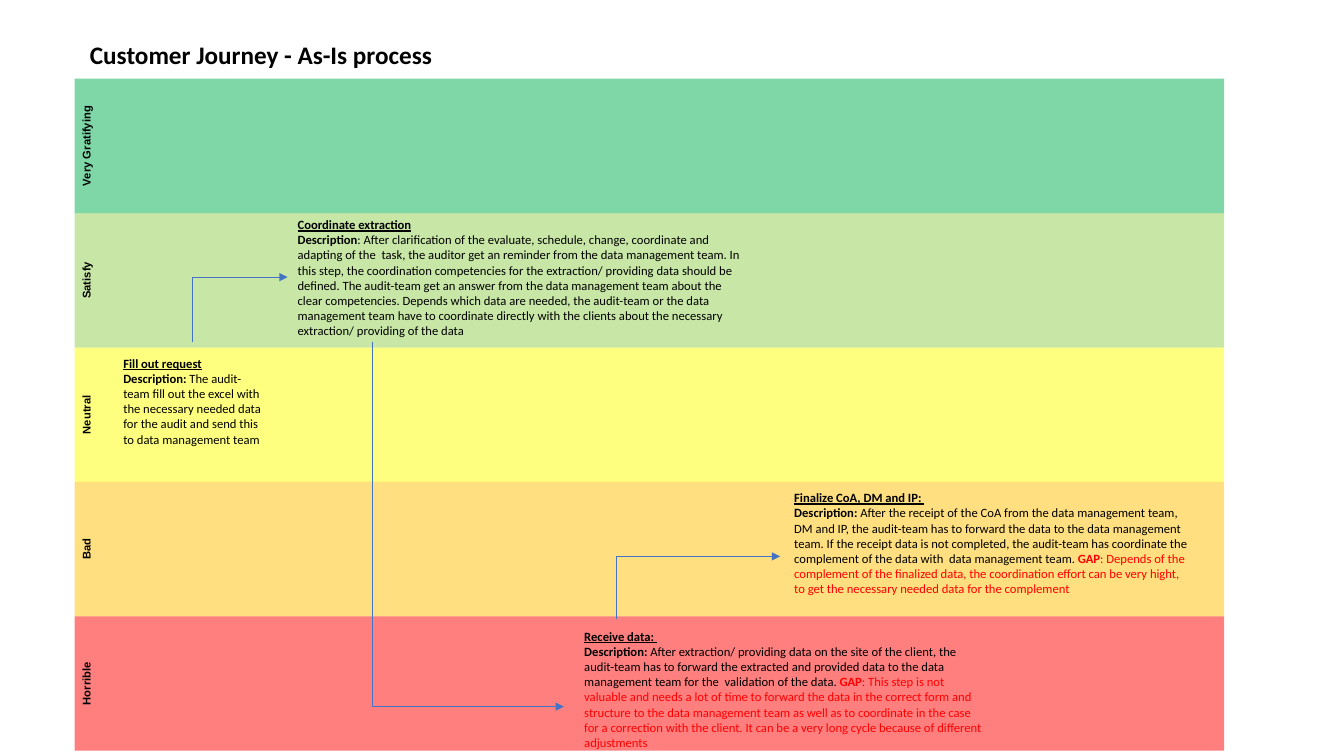
import dataclasses

import lxml.etree
import pptx
import pptx.dml.color
import pptx.enum.shapes
import pptx.enum.text
import pptx.oxml.ns
import pptx.util

PX = 9525


@dataclasses.dataclass(frozen=True)
class Theme:
    text: str = "000000"
    gap: str = "FF0000"
    arrow: str = "4472C4"
    body_font: str = "Calibri"
    label_font: str = "Arial"
    title_size: int = 18
    body_size: int = 9
    label_size: int = 8
    arrow_width: float = 0.5


THEME = Theme()

BAND_LEFT, BAND_TOP, BAND_WIDTH, BAND_HEIGHT = 71, 75, 1095, 128
LABEL_WIDTH = 33
MOODS = [
    ("Very Gratifying", "00B050"),
    ("Satisfy", "92D050"),
    ("Neutral", "FFFF00"),
    ("Bad", "FFC000"),
    ("Horrible", "FF0000"),
]

STEPS = [
    ((108, 334, 152, 126), "Fill out request", "Description: ",
     "The audit-team fill out the excel with the necessary needed data for the audit "
     "and send this to data management team", ""),
    ((274, 202, 442, 126), "Coordinate extraction", "Description",
     ": After clarification of the evaluate, schedule, change, coordinate and adapting of "
     "the  task, the auditor get an reminder from the data management team. In this step, "
     "the coordination competencies for the extraction/ providing data should be  defined. "
     "The audit-team get an answer from the data management team about the clear "
     "competencies. Depends which data are needed, the audit-team or the data management "
     "team have to coordinate directly with the clients about the necessary extraction/ "
     "providing of the data", ""),
    ((547, 594, 398, 125), "Receive data: ", "Description: ",
     "After extraction/ providing data on the site of the client, the audit-team has to "
     "forward the extracted and provided data to the data management team for the  "
     "validation of the data. ",
     ": This step is not valuable and needs a lot of time to forward the data in the "
     "correct form and structure to the data management team as well as to coordinate in "
     "the case for a correction with the client. It can be a very long cycle because of "
     "different adjustments"),
    ((747, 462, 398, 115), "Finalize CoA, DM and IP: ", "Description: ",
     "After the receipt of the CoA from the data management team, DM and IP, the "
     "audit-team has to forward the data to the data management team. If the receipt data "
     "is not completed, the audit-team has coordinate the complement of the data with  "
     "data management team. ",
     ": Depends of the complement of the finalized data, the coordination effort can be "
     "very hight, to get the necessary needed data for the complement"),
]

HANDOVERS = [
    (183, 326, 274, 264),
    (355, 326, 537, 673),
    (587, 590, 743, 530),
]


def px(*lengths):
    return [pptx.util.Emu(length * PX) for length in lengths]


def rgb(color):
    return pptx.dml.color.RGBColor.from_string(color)


def add_xml(properties, parent_tag, tag, **attributes):
    parent = next(properties.iter(pptx.oxml.ns.qn(parent_tag)))
    lxml.etree.SubElement(parent, pptx.oxml.ns.qn(tag), attributes)


def add_text(paragraph, text, size=THEME.body_size, font=THEME.body_font,
             color=THEME.text, bold=False, underline=False):
    run = paragraph.add_run()
    run.text = text
    run.font.size = pptx.util.Pt(size)
    run.font.name = font
    run.font.color.rgb = rgb(color)
    run.font.bold = bold
    run.font.underline = underline


def add_title(slide, text):
    title = slide.shapes.title
    title.left, title.top, title.width, title.height = px(76, 33, 348, 38)
    frame = title.text_frame
    frame.word_wrap = False
    frame.auto_size = pptx.enum.text.MSO_AUTO_SIZE.NONE
    frame.vertical_anchor = pptx.enum.text.MSO_ANCHOR.TOP
    heading = frame.paragraphs[0]
    heading.alignment = pptx.enum.text.PP_ALIGN.LEFT
    add_text(heading, text, size=THEME.title_size, bold=True)


def add_band(slide, top, color):
    band = slide.shapes.add_shape(
        pptx.enum.shapes.MSO_SHAPE.RECTANGLE,
        *px(BAND_LEFT, top, BAND_WIDTH, BAND_HEIGHT))
    band.shadow.inherit = False
    band.line.fill.background()
    band.fill.solid()
    band.fill.fore_color.rgb = rgb(color)
    add_xml(band._element.spPr, "a:srgbClr", "a:alpha", val="50000")


def add_band_label(slide, top, text):
    label = slide.shapes.add_textbox(*px(BAND_LEFT, top, LABEL_WIDTH, BAND_HEIGHT))
    frame = label.text_frame
    frame.word_wrap = True
    frame._txBody.bodyPr.set("vert", "vert270")
    mood = frame.paragraphs[0]
    mood.alignment = pptx.enum.text.PP_ALIGN.CENTER
    add_text(mood, text, size=THEME.label_size, font=THEME.label_font, bold=True)


def add_step(slide, box, heading, lead, description, gap):
    step = slide.shapes.add_textbox(*px(*box))
    frame = step.text_frame
    frame.word_wrap = True
    add_text(frame.paragraphs[0], heading, bold=True, underline=True)
    details = frame.add_paragraph()
    add_text(details, lead, bold=True)
    add_text(details, description)
    if gap:
        add_text(details, "GAP", color=THEME.gap, bold=True)
        add_text(details, gap, color=THEME.gap)


def add_handover(slide, ends):
    handover = slide.shapes.add_connector(
        pptx.enum.shapes.MSO_CONNECTOR.ELBOW, *px(*ends))
    handover.line.color.rgb = rgb(THEME.arrow)
    handover.line.width = pptx.util.Pt(THEME.arrow_width)
    properties = handover._element.spPr
    add_xml(properties, "a:ln", "a:tailEnd", type="triangle")
    add_xml(properties, "p:spPr", "a:effectLst")
    add_xml(properties, "a:avLst", "a:gd", name="adj1", fmla="val 0")


def main():
    journey = pptx.Presentation()
    journey.slide_width, journey.slide_height = px(1280, 720)
    slide = journey.slides.add_slide(journey.slide_layouts[5])
    add_title(slide, "Customer Journey - As-Is process")
    for row, (mood, color) in enumerate(MOODS):
        top = BAND_TOP + row * BAND_HEIGHT
        add_band(slide, top, color)
        add_band_label(slide, top, mood)
    for step in STEPS:
        add_step(slide, *step)
    for ends in HANDOVERS:
        add_handover(slide, ends)
    journey.save("out.pptx")


if __name__ == "__main__":
    main()
